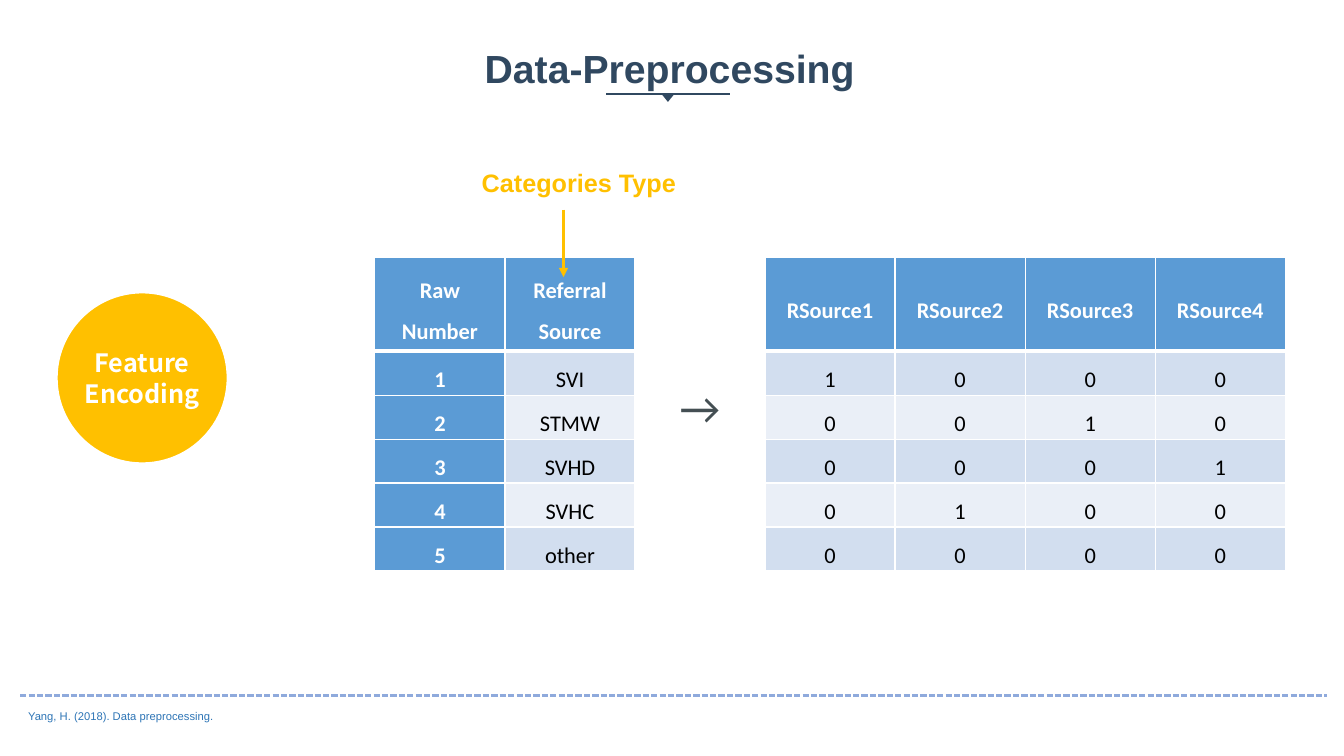
"""Build the Data-Preprocessing slide on feature encoding."""
from dataclasses import dataclass
from typing import Any, Optional

import lxml.etree
import pptx
import pptx.dml.color
import pptx.enum.dml
import pptx.enum.shapes
import pptx.enum.text
import pptx.oxml.ns
import pptx.util

Pt = pptx.util.Pt
RGBColor = pptx.dml.color.RGBColor
SHAPE = pptx.enum.shapes.MSO_SHAPE
ALIGN = pptx.enum.text.PP_ALIGN
ANCHOR = pptx.enum.text.MSO_ANCHOR
qn = pptx.oxml.ns.qn

NAVY = RGBColor(0x30, 0x48, 0x60)
AMBER = RGBColor(0xFF, 0xC0, 0x00)
WHITE = RGBColor(0xFF, 0xFF, 0xFF)
BLACK = RGBColor(0x00, 0x00, 0x00)
GRAY = RGBColor(0x44, 0x4F, 0x53)
HEADER = RGBColor(0x5B, 0x9B, 0xD5)
BANDS = (RGBColor(0xD2, 0xDE, 0xEF), RGBColor(0xEA, 0xEF, 0xF7))
RULE = RGBColor(0x8F, 0xAA, 0xDC)
CITE = RGBColor(0x2E, 0x75, 0xB6)

ARROW_COL = 2
COL_WIDTH = 92.9
HEADER_HEIGHT = 67
ROW_HEIGHT = 31.4
ROWS = (
    ("Raw Number", "Referral Source", "", "RSource1", "RSource2", "RSource3", "RSource4"),
    ("1", "SVI", "→", "1", "0", "0", "0"),
    ("2", "STMW", "", "0", "0", "1", "0"),
    ("3", "SVHD", "", "0", "0", "0", "1"),
    ("4", "SVHC", "", "0", "1", "0", "0"),
    ("5", "other", "", "0", "0", "0", "0"),
)


@dataclass
class Label:
    text: str
    left: float
    top: float
    width: float
    height: float
    font: dict[str, Any]


@dataclass
class Line:
    x1: float
    y1: float
    x2: float
    y2: float
    color: RGBColor
    weight: float
    dash: Optional[Any] = None
    arrow: bool = False


LINES = (
    Line(432.9, 67, 521.3, 67, NAVY, 1.5),
    Line(402.5, 149.8, 402.5, 198, AMBER, 2.25, arrow=True),
    Line(14.4, 496.8, 948.2, 496.8, RULE, 1.5, pptx.enum.dml.MSO_LINE.SQUARE_DOT),
)
LABELS = (
    Label("Data-Preprocessing", 339.1, 28.1, 282.2, 41,
          {"size": Pt(28), "name": "Arial", "bold": True, "color": NAVY}),
    Label("Categories Type", 337, 115.9, 159.8, 28.8,
          {"size": Pt(18), "name": "Arial", "bold": True, "color": AMBER}),
    Label("Yang, H. (2018). Data preprocessing.", 13, 503.3, 148.3, 17.3,
          {"size": Pt(8), "name": "Arial", "bold": False, "color": CITE}),
)


def add_run(p: Any, text: str, font: dict[str, Any]) -> None:
    """Add a run and apply its format values."""
    r = p.add_run()
    r.text = text
    for name, value in font.items():
        if name == "color":
            r.font.color.rgb = value
        else:
            setattr(r.font, name, value)


def add_label(s: Any, label: Label) -> None:
    """Add a one-line text box."""
    sp = s.shapes.add_textbox(Pt(label.left), Pt(label.top), Pt(label.width), Pt(label.height))
    tf = sp.text_frame
    tf.word_wrap = False
    tf.auto_size = pptx.enum.text.MSO_AUTO_SIZE.SHAPE_TO_FIT_TEXT
    add_run(tf.paragraphs[0], label.text, label.font)


def add_line(s: Any, line: Line) -> None:
    """Add a straight line, dashed or with an arrowhead if asked."""
    sp = s.shapes.add_connector(pptx.enum.shapes.MSO_CONNECTOR.STRAIGHT,
                                Pt(line.x1), Pt(line.y1), Pt(line.x2), Pt(line.y2))
    sp.line.color.rgb = line.color
    sp.line.width = Pt(line.weight)
    if line.dash:
        sp.line.dash_style = line.dash
    props = sp._element.spPr
    if line.arrow:
        lxml.etree.SubElement(props.find(qn("a:ln")), qn("a:tailEnd"), type="triangle")
    lxml.etree.SubElement(props, qn("a:effectLst"))


def add_solid(s: Any, kind: Any, left: float, top: float, width: float, height: float,
              color: RGBColor) -> Any:
    """Add a filled shape with no outline or shadow."""
    sp = s.shapes.add_shape(kind, Pt(left), Pt(top), Pt(width), Pt(height))
    sp.shadow.inherit = False
    sp.fill.solid()
    sp.fill.fore_color.rgb = color
    sp.line.fill.background()
    return sp


def add_badge(s: Any) -> None:
    """Add the Feature Encoding circle."""
    sp = add_solid(s, SHAPE.OVAL, 38.2, 206.6, 126.7, 126.7, AMBER)
    sp.line.color.rgb = WHITE
    sp.line.width = Pt(6)
    tf = sp.text_frame
    for name, value in {"margin_left": 0, "margin_right": 0, "word_wrap": True,
                        "vertical_anchor": ANCHOR.MIDDLE}.items():
        setattr(tf, name, value)
    for i, word in enumerate(("Feature", "Encoding")):
        p = tf.add_paragraph() if i else tf.paragraphs[0]
        p.alignment = ALIGN.CENTER
        p.line_spacing = Pt(22)
        add_run(p, word, {"size": Pt(18), "name": "Noto Sans CJK SC", "bold": True, "color": WHITE})


def add_borders(cell: Any, row: int) -> None:
    """Draw white cell borders, heavier below the header."""
    heavy = {0: "a:lnB", 1: "a:lnT"}.get(row)
    for side in ("a:lnL", "a:lnR", "a:lnT", "a:lnB"):
        ln = lxml.etree.SubElement(cell._tc.get_or_add_tcPr(), qn(side),
                                   w=str(Pt(3 if side == heavy else 1)))
        fill = lxml.etree.SubElement(ln, qn("a:solidFill"))
        lxml.etree.SubElement(fill, qn("a:srgbClr"), val=str(WHITE))


def fill_cell(cell: Any, text: str, row: int, col: int) -> None:
    """Format one table cell and write its text."""
    for name, value in {"margin_left": Pt(5), "margin_right": Pt(5), "margin_top": 0,
                        "margin_bottom": 0, "vertical_anchor": ANCHOR.MIDDLE}.items():
        setattr(cell, name, value)
    strong = row == 0 or col == 0
    if col == ARROW_COL:
        cell.fill.background()
    else:
        add_borders(cell, row)
        cell.fill.solid()
        cell.fill.fore_color.rgb = HEADER if strong else BANDS[(row - 1) % 2]
    if text:
        p = cell.text_frame.paragraphs[0]
        p.alignment = ALIGN.CENTER
        p.line_spacing = 1.5
        color = GRAY if col == ARROW_COL else WHITE if strong else BLACK
        add_run(p, text, {"size": Pt(32 if col == ARROW_COL else 16), "name": "Calibri",
                          "bold": strong, "color": color})


def add_encoding_table(s: Any) -> None:
    """Add the table of raw and encoded referral sources."""
    n_rows, n_cols = len(ROWS), len(ROWS[0])
    height = HEADER_HEIGHT + ROW_HEIGHT * (n_rows - 1)
    table = s.shapes.add_table(n_rows, n_cols, Pt(267.8), Pt(183.9),
                               Pt(COL_WIDTH * n_cols), Pt(height)).table
    for column in table.columns:
        column.width = Pt(COL_WIDTH)
    for i, values in enumerate(ROWS):
        table.rows[i].height = Pt(ROW_HEIGHT if i else HEADER_HEIGHT)
        for j, text in enumerate(values):
            fill_cell(table.cell(i, j), text, i, j)
    table.cell(1, ARROW_COL).merge(table.cell(2, ARROW_COL))


def main() -> None:
    """Create and save the slide."""
    prs = pptx.Presentation()
    prs.slide_width, prs.slide_height = Pt(960), Pt(540)
    s = prs.slides.add_slide(prs.slide_layouts[6])
    add_solid(s, SHAPE.ISOSCELES_TRIANGLE, 472.4, 67, 9.4, 5.8, NAVY).rotation = 180
    add_badge(s)
    add_encoding_table(s)
    for line in LINES:
        add_line(s, line)
    for label in LABELS:
        add_label(s, label)
    prs.save("out.pptx")


if __name__ == "__main__":
    main()
